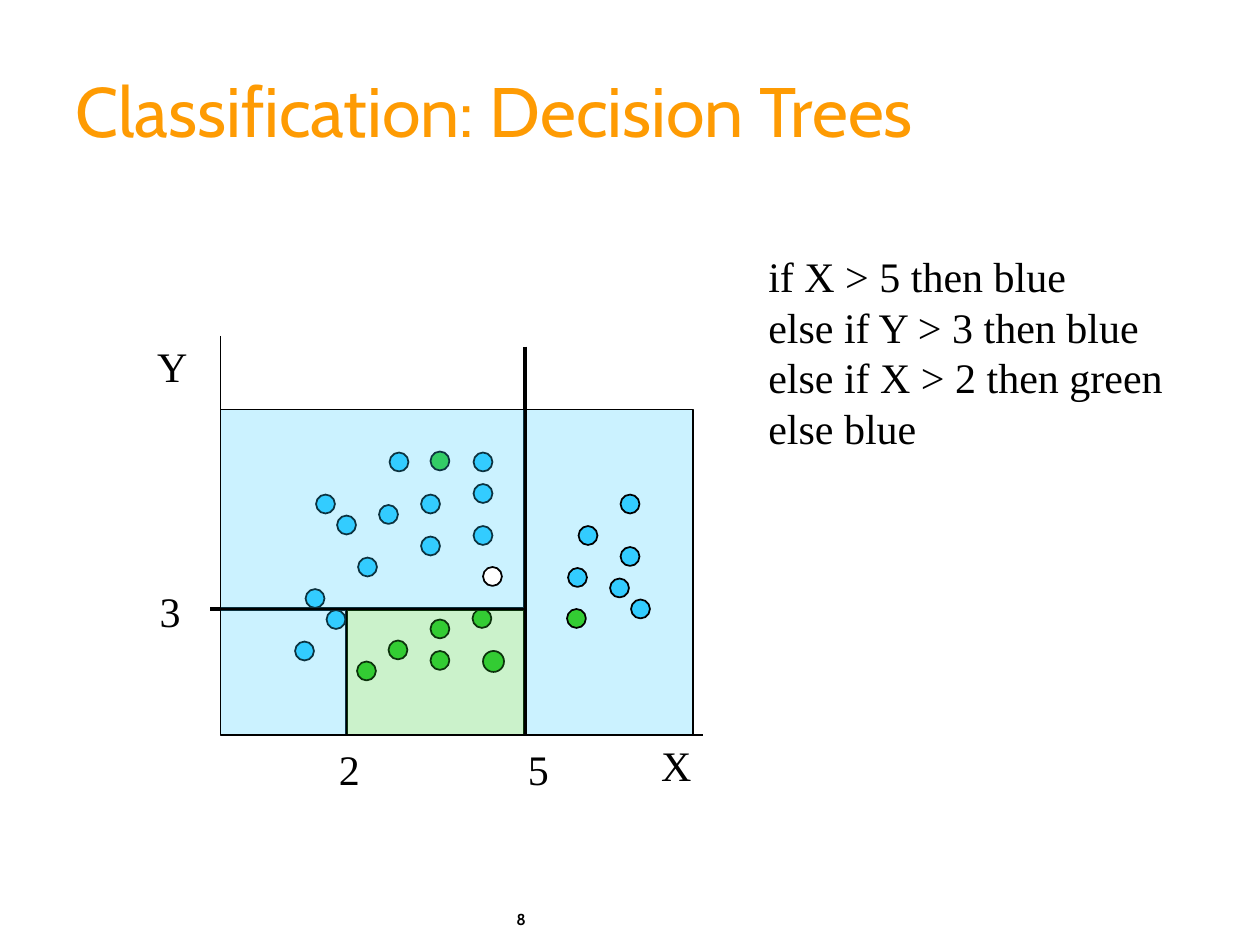
from dataclasses import dataclass
from typing import NamedTuple

from lxml import etree
from pptx import Presentation
from pptx import util as u
from pptx.dml.color import RGBColor
from pptx.enum import shapes, text
from pptx.oxml.ns import qn


@dataclass(frozen=True)
class Theme:
    orange: str = "FE9B03"
    blue: str = "33CCFF"
    green: str = "33CC33"
    white: str = "FFFFFF"
    black: str = "000000"
    heading_font: str = "Cabin"
    body_font: str = "Times New Roman"
    title_size: float = 40
    body_size: float = 24
    number_size: float = 9
    body_leading: float = 28.85
    region_line: float = 0.75
    axis_line: float = 1
    split_line: float = 2


THEME = Theme()
GRID = 2.54 / 12  # centimetres in one grid step
DOT = 1.8         # dot diameter in grid steps


class Region(NamedTuple):
    left: float
    top: float
    width: float
    height: float
    color: str


class Line(NamedTuple):
    start: tuple[float, float]
    end: tuple[float, float]
    weight: float


class Dot(NamedTuple):
    left: float
    top: float
    color: str
    size: float = DOT


class Label(NamedTuple):
    content: str
    left: float
    top: float
    width: float
    height: float = 1.27


# Places on the grid
RIGHT_REGION = Region(50, 39, 16, 31, THEME.blue)
LEFT_REGIONS = [
    Region(21, 39, 29, 19, THEME.blue),
    Region(21, 58, 12, 12, THEME.blue),
    Region(33, 58, 17, 12, THEME.green),
]
AXES = [
    Line((21, 32), (21, 70), THEME.axis_line),
    Line((21, 70), (67, 70), THEME.axis_line),
]
SPLITS = [
    Line((50, 33), (50, 70), THEME.split_line),
    Line((50, 58), (20, 58), THEME.split_line),
    Line((33, 58), (33, 70), THEME.split_line),
]
BLUE_PLACES = [
    (30, 47), (32, 49), (36, 48), (40, 47), (29, 56), (45, 43), (34, 53),
    (40, 51), (45, 50), (31, 58), (28, 61), (37, 43), (45, 46), (59, 47),
    (55, 50), (54, 54), (58, 55), (60, 57), (59, 52),
]
GREEN_PLACES = [(34, 63), (37, 61), (41, 62), (41, 59), (45, 58), (41, 43), (54, 58)]
CLASS_DOTS = [
    *(Dot(x + 0.1, y + 0.1, THEME.blue) for x, y in BLUE_PLACES),
    *(Dot(x, y, THEME.green) for x, y in GREEN_PLACES),
    Dot(46, 62, THEME.green, 2),
]
NEW_DOT = Dot(46, 54, THEME.white)

# Places in centimetres
LABELS = [
    Label("X", 13.08, 14.78, 1.12),
    Label("Y", 2.92, 6.73, 1.12),
    Label("5", 10.39, 14.86, 0.91),
    Label("2", 6.58, 14.86, 0.91),
    Label("3", 2.97, 11.68, 0.91),
    Label("if X > 5 then blue\nelse if Y > 3 then blue\n"
          "else if X > 2 then green\nelse blue", 15.24, 4.93, 8.46, 4.32),
]


def grid(steps: float) -> u.Cm:
    return u.Cm(steps * GRID)


def add_filled(slide, kind, left: float, top: float, width: float, height: float,
               color: str, weight: float, opacity: int = 100):
    shape = slide.shapes.add_shape(kind, grid(left), grid(top), grid(width), grid(height))
    shape.shadow.inherit = False
    shape.fill.solid()
    shape.fill.fore_color.rgb = RGBColor.from_string(color)
    shape.line.color.rgb = RGBColor.from_string(THEME.black)
    shape.line.width = u.Pt(weight)
    if opacity < 100:
        fill_color = shape._element.spPr.find(qn("a:solidFill"))[0]
        etree.SubElement(fill_color, qn("a:alpha")).set("val", str(opacity * 1000))
    return shape


def add_region(slide, region: Region) -> None:
    add_filled(slide, shapes.MSO_SHAPE.RECTANGLE, *region, THEME.region_line, opacity=25)


def add_dot(slide, dot: Dot) -> None:
    add_filled(slide, shapes.MSO_SHAPE.OVAL, dot.left, dot.top, dot.size, dot.size,
               dot.color, THEME.axis_line)


def add_line(slide, line: Line) -> None:
    connector = slide.shapes.add_connector(
        shapes.MSO_CONNECTOR.STRAIGHT, *map(grid, line.start + line.end))
    connector.line.color.rgb = RGBColor.from_string(THEME.black)
    connector.line.width = u.Pt(line.weight)
    etree.SubElement(connector._element.spPr, qn("a:effectLst"))


def add_text(slide, content: str, left: float, top: float, width: float, height: float, *,
             font: str = THEME.body_font, size: float = THEME.body_size,
             color: str = THEME.black, bold: bool = False, wrap: bool = True,
             anchor=text.MSO_ANCHOR.TOP, spacing=None) -> None:
    box = slide.shapes.add_textbox(u.Cm(left), u.Cm(top), u.Cm(width), u.Cm(height))
    frame = box.text_frame
    frame.word_wrap = wrap
    frame.vertical_anchor = anchor
    frame.text = content
    for paragraph in frame.paragraphs:
        paragraph.line_spacing = spacing
        for run in paragraph.runs:
            run.font.name = font
            run.font.size = u.Pt(size)
            run.font.bold = bold
            run.font.color.rgb = RGBColor.from_string(color)


def main() -> None:
    presentation = Presentation()
    presentation.slide_width = u.Cm(25.4)
    presentation.slide_height = u.Cm(19.05)
    slide = presentation.slides.add_slide(presentation.slide_layouts[6])

    # Title
    add_text(slide, "Classification: Decision Trees", 1.27, 0.64, 23.06, 2.54,
             font=THEME.heading_font, size=THEME.title_size, color=THEME.orange,
             anchor=text.MSO_ANCHOR.BOTTOM, spacing=0.85)

    # Plot: the left regions tint the dots and splits under them
    add_region(slide, RIGHT_REGION)
    for axis in AXES:
        add_line(slide, axis)
    for dot in CLASS_DOTS:
        add_dot(slide, dot)
    for split in SPLITS:
        add_line(slide, split)
    for region in LEFT_REGIONS:
        add_region(slide, region)
    add_dot(slide, NEW_DOT)

    # Axis labels and rules
    for label in LABELS:
        add_text(slide, *label, wrap=False, spacing=u.Pt(THEME.body_leading))

    # Slide number
    add_text(slide, "8", 10.16, 18.21, 2.59, 0.84, font=THEME.heading_font,
             size=THEME.number_size, bold=True)

    presentation.save("out.pptx")


if __name__ == "__main__":
    main()
